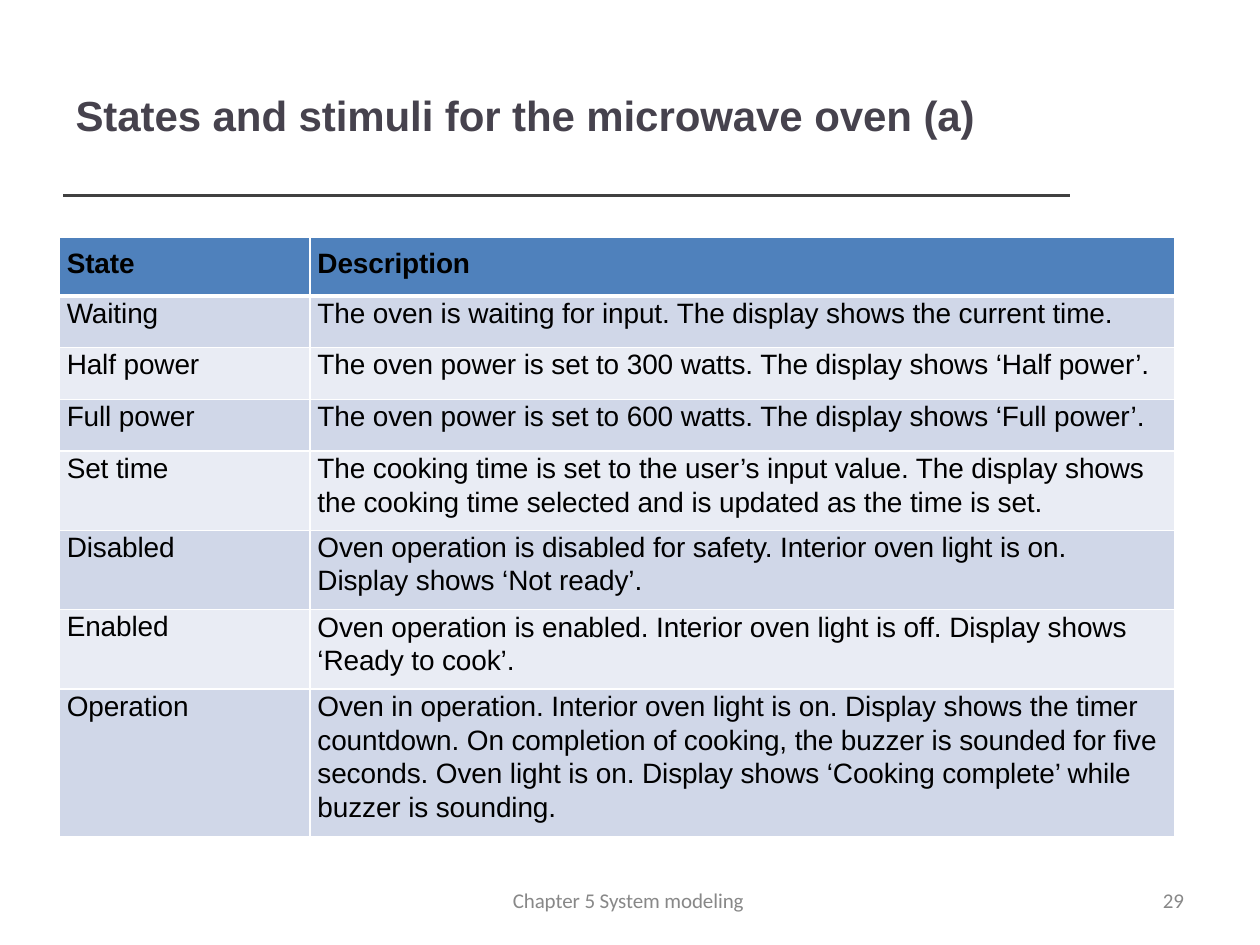
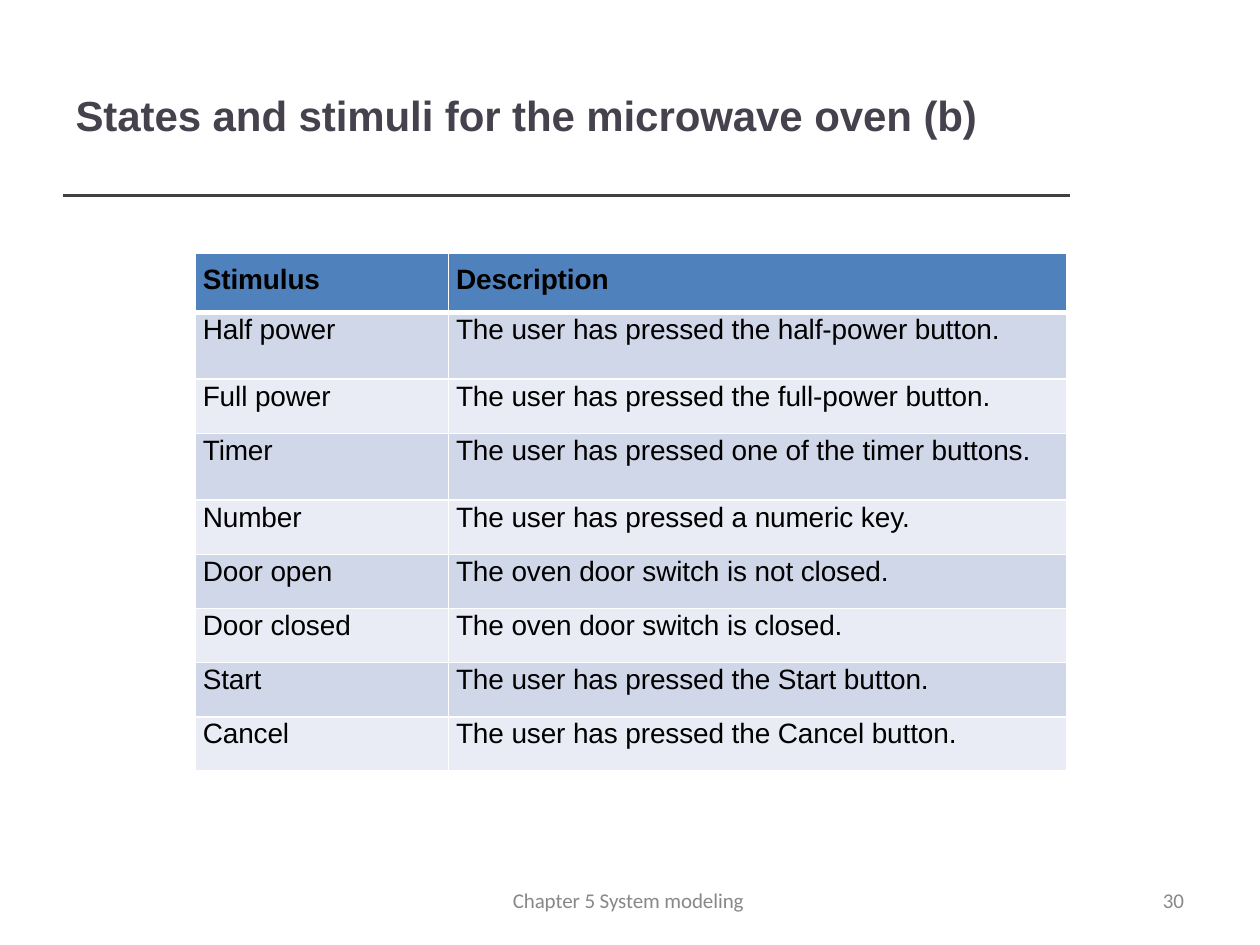
"""Build two slides that list the states and stimuli of a microwave oven."""
from dataclasses import dataclass

from lxml.etree import SubElement
from pptx import Presentation
from pptx.dml.color import RGBColor
from pptx.enum.shapes import MSO_CONNECTOR
from pptx.enum.text import MSO_ANCHOR, MSO_AUTO_SIZE, PP_ALIGN
from pptx.oxml.ns import qn
from pptx.util import Inches, Pt


@dataclass(frozen=True)
class Theme:
    """Colours, fonts and type sizes."""
    title: str = "46424D"
    rule: str = "404040"
    footer: str = "888888"
    text: str = "000000"
    header: str = "4F81BC"
    bands: tuple[str, str] = ("D0D7E8", "E9ECF4")
    border: str = "FFFFFF"
    font: str = "Arial"
    footer_font: str = "Calibri"
    title_size: float = 24
    body_size: float = 16
    footer_size: float = 12
    tracking: float = -0.05


@dataclass(frozen=True)
class Row:
    """One table row, its description paragraphs, height and leading."""
    name: str
    description: tuple[str, ...]
    height: float
    leading: float = 18.9


@dataclass(frozen=True)
class TableSlide:
    """Content and table placement of one slide."""
    title: str
    number: int
    left: float
    top: float
    columns: tuple[float, float]
    header: str
    rows: tuple[Row, ...]


THEME = Theme()
HEADER_HEIGHT = 0.47

SLIDES = (
    TableSlide("States and stimuli for the microwave oven (a)", 29, 0.47, 1.88, (1.99, 6.86), "State", (
        Row("Waiting", ("The oven is waiting for input. The display shows the current time.",), 0.41),
        Row("Half power", ("The oven power is set to 300 watts. The display shows ‘Half power’.",), 0.41),
        Row("Full power", ("The oven power is set to 600 watts. The display shows ‘Full power’.",), 0.41),
        Row("Set time", ("The cooking time is set to the user’s input value. The display shows "
                         "the cooking time selected and is updated as the time is set.",), 0.63, 19.2),
        Row("Disabled", ("Oven operation is disabled for safety. Interior oven light is on.",
                         "Display shows ‘Not ready’."), 0.63),
        Row("Enabled", ("Oven operation is enabled. Interior oven light is off. Display shows "
                        "‘Ready to cook’.",), 0.63, 19.2),
        Row("Operation", ("Oven in operation. Interior oven light is on. Display shows the timer "
                          "countdown. On completion of cooking, the buzzer is sounded for five",
                          "seconds. Oven light is on. Display shows ‘Cooking complete’ while",
                          "buzzer is sounding."), 1.17, 19.2),
    )),
    TableSlide("States and stimuli for the microwave oven (b)", 30, 1.55, 2.01, (2.01, 4.91), "Stimulus", (
        Row("Half power", ("The user has pressed the half-power button.",), 0.53),
        Row("Full power", ("The user has pressed the full-power button.",), 0.43),
        Row("Timer", ("The user has pressed one of the timer buttons.",), 0.53),
        Row("Number", ("The user has pressed a numeric key.",), 0.43),
        Row("Door open", ("The oven door switch is not closed.",), 0.43),
        Row("Door closed", ("The oven door switch is closed.",), 0.43),
        Row("Start", ("The user has pressed the Start button.",), 0.43),
        Row("Cancel", ("The user has pressed the Cancel button.",), 0.43),
    )),
)


def rgb(value: str) -> RGBColor:
    """Turn a hex string into a colour."""
    return RGBColor.from_string(value)


def write(tf, *lines: str, size: float, color: str, font: str = THEME.font, bold: bool = False,
          leading: float | None = None, align=PP_ALIGN.LEFT) -> None:
    """Fill a text frame with formatted paragraphs."""
    for i, line in enumerate(lines):
        p = tf.add_paragraph() if i else tf.paragraphs[0]
        p.alignment = align
        if leading:
            p.line_spacing = Pt(leading)
        r = p.add_run()
        r.text = line
        r.font.name, r.font.size, r.font.bold = font, Pt(size), bold
        r.font.color.rgb = rgb(color)
        r._r.get_or_add_rPr().set("spc", str(round(THEME.tracking * 100)))


def reset_frame(tf) -> None:
    """Remove the insets and anchor the text at the top."""
    tf.margin_left = tf.margin_top = tf.margin_right = tf.margin_bottom = 0
    tf.vertical_anchor = MSO_ANCHOR.TOP
    tf.auto_size = MSO_AUTO_SIZE.NONE
    tf.word_wrap = True


def add_title(s, text: str) -> None:
    """Place and format the title placeholder."""
    sp = s.shapes.title
    sp.left, sp.top, sp.width, sp.height = Inches(0.6), Inches(0.71), Inches(7.6), Inches(0.43)
    reset_frame(sp.text_frame)
    write(sp.text_frame, text, size=THEME.title_size, color=THEME.title, bold=True)


def add_rule(s) -> None:
    """Draw the line below the title."""
    y = Inches(1.55)
    line = s.shapes.add_connector(MSO_CONNECTOR.STRAIGHT, Inches(0.5), y, Inches(8.49), y)
    line.line.color.rgb = rgb(THEME.rule)
    line.line.width = Pt(2)
    SubElement(line._element.spPr, qn("a:effectLst"))


def add_footer(s, text: str, left: float, width: float) -> None:
    """Add one footer text."""
    tf = s.shapes.add_textbox(Inches(left), Inches(7.07), Inches(width), Inches(0.19)).text_frame
    reset_frame(tf)
    write(tf, text, size=THEME.footer_size, color=THEME.footer, font=THEME.footer_font, leading=12.4)


def set_borders(cell, top: float, bottom: float) -> None:
    """Draw the four cell borders with widths in points."""
    props = cell._tc.get_or_add_tcPr()
    for side, width in {"L": 1, "R": 1, "T": top, "B": bottom}.items():
        ln = SubElement(props, qn(f"a:ln{side}"), w=str(Pt(width)))
        SubElement(SubElement(ln, qn("a:solidFill")), qn("a:srgbClr"), val=THEME.border)


def add_cell(cell, *lines: str, fill: str, top_border: float = 1, bottom_border: float = 1,
             inset: float = 0, bold: bool = False, leading: float | None = None) -> None:
    """Format one table cell and write its text."""
    set_borders(cell, top_border, bottom_border)
    cell.fill.solid()
    cell.fill.fore_color.rgb = rgb(fill)
    cell.margin_left, cell.margin_top = Inches(0.06), Inches(inset)
    cell.margin_right = cell.margin_bottom = 0
    cell.vertical_anchor = MSO_ANCHOR.TOP
    write(cell.text_frame, *lines, size=THEME.body_size, color=THEME.text, bold=bold, leading=leading)


def add_table(s, spec: TableSlide) -> None:
    """Build the header and the banded rows."""
    heights = [HEADER_HEIGHT, *(row.height for row in spec.rows)]
    table = s.shapes.add_table(len(heights), 2, Inches(spec.left), Inches(spec.top),
                               Inches(sum(spec.columns)), Inches(sum(heights))).table
    for column, width in zip(table.columns, spec.columns):
        column.width = Inches(width)
    for table_row, height in zip(table.rows, heights):
        table_row.height = Inches(height)
    for j, label in enumerate((spec.header, "Description")):
        add_cell(table.cell(0, j), label, fill=THEME.header, bottom_border=3, inset=0.09, bold=True)
    for i, row in enumerate(spec.rows, start=1):
        look = {"fill": THEME.bands[(i - 1) % 2], "top_border": 3 if i == 1 else 1}
        add_cell(table.cell(i, 0), row.name, leading=18.9, **look)
        add_cell(table.cell(i, 1), *row.description, leading=row.leading, **look)


def main() -> None:
    """Create and save the presentation."""
    prs = Presentation()
    prs.slide_width, prs.slide_height = Inches(10), Inches(7.5)
    for spec in SLIDES:
        s = prs.slides.add_slide(prs.slide_layouts[5])
        add_rule(s)
        add_title(s, spec.title)
        add_footer(s, "Chapter 5 System modeling", 4.07, 1.95)
        add_footer(s, str(spec.number), 9.23, 0.25)
        add_table(s, spec)
    prs.save("out.pptx")


if __name__ == "__main__":
    main()
